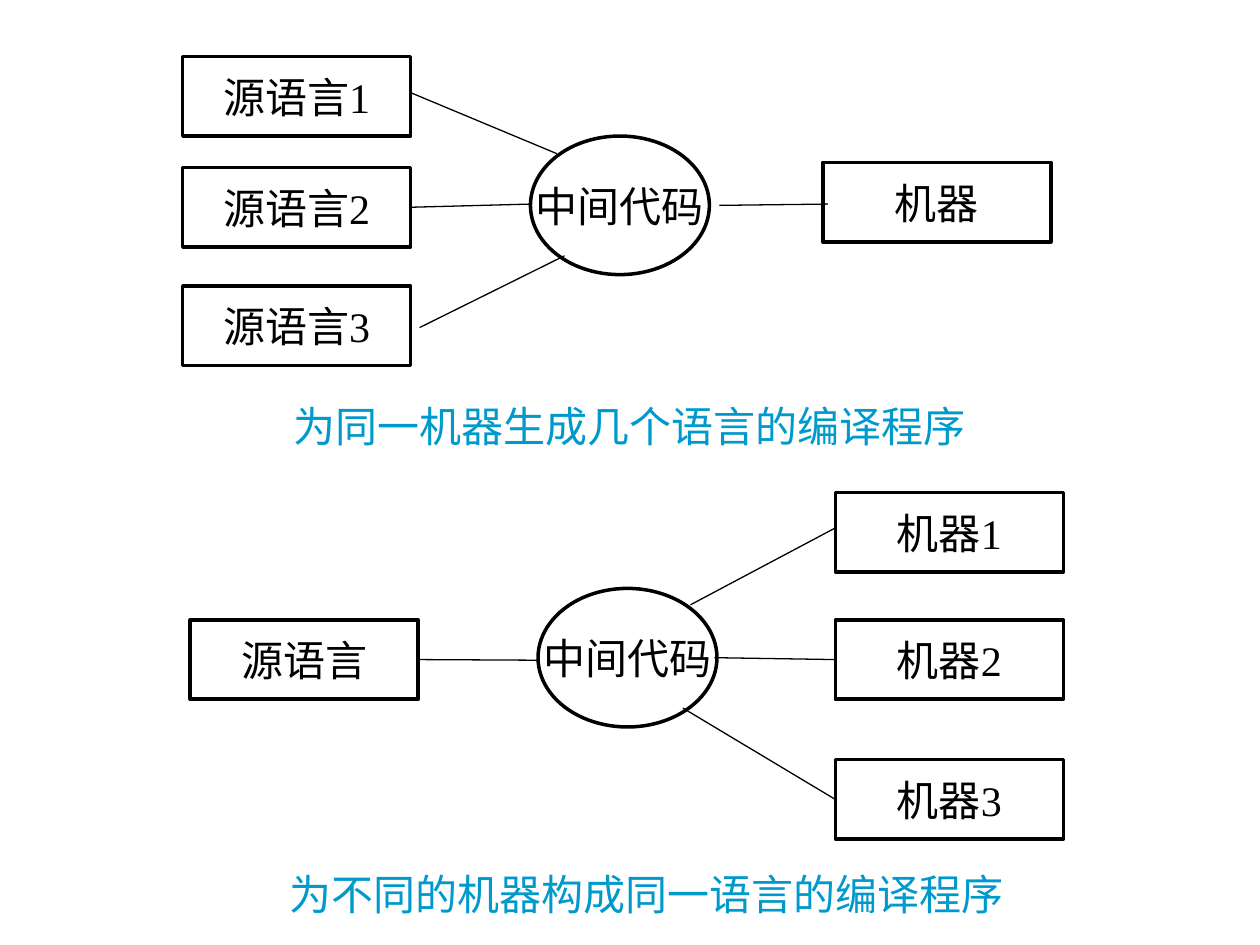
from lxml import etree
from pptx import Presentation
from pptx.dml.color import RGBColor
from pptx.enum import shapes, text
from pptx.oxml.ns import qn
from pptx.util import Inches, Pt

BLACK, WHITE, BLUE = "000000", "FFFFFF", "0099CC"
BOX_W, BOX_H = 1.81, 0.63
OVAL_W, OVAL_H = 1.42, 1.1
LEFT, RIGHT = 1, 3  # connection sites of a rectangle


def color(value):
    return RGBColor.from_string(value)


def style_text(tf, words, shade):
    p = tf.paragraphs[0]
    p.text = words
    p.font.name = "Times New Roman"
    p.font.size = Pt(24)
    p.font.color.rgb = color(shade)
    return p


def add_node(s, kind, words, x, y, w, h):
    sp = s.shapes.add_shape(kind, Inches(x), Inches(y), Inches(w), Inches(h))
    sp.shadow.inherit = False
    sp.fill.solid()
    sp.fill.fore_color.rgb = color(WHITE)
    sp.line.color.rgb = color(BLACK)
    sp.line.width = Pt(2)
    tf = sp.text_frame
    tf.word_wrap = False
    tf.vertical_anchor = text.MSO_ANCHOR.MIDDLE
    style_text(tf, words, BLACK).alignment = text.PP_ALIGN.CENTER
    return sp


def add_box(s, words, x, y):
    return add_node(s, shapes.MSO_SHAPE.RECTANGLE, words, x, y, BOX_W, BOX_H)


def add_oval(s, x, y):
    return add_node(s, shapes.MSO_SHAPE.OVAL, "中间代码", x, y, OVAL_W, OVAL_H)


def add_link(s, start, end):
    line = s.shapes.add_connector(shapes.MSO_CONNECTOR.STRAIGHT,
                                  *(Inches(v) for v in (*start, *end)))
    line.line.color.rgb = color(BLACK)
    line.line.width = Pt(0.75)
    etree.SubElement(line._element.spPr, qn("a:effectLst"))
    return line


def add_caption(s, words, x, y):
    tf = s.shapes.add_textbox(Inches(x), Inches(y), Inches(6.15), Inches(0.5)).text_frame
    tf.word_wrap = True
    style_text(tf, words, BLUE)


def many_languages(s, x, y):
    """Three source languages, one machine."""
    boxes = [add_box(s, f"源语言{n}", x, y + dy)
             for n, dy in enumerate((0, 0.88, 1.82), 1)]
    add_box(s, "机器", x + 5.08, y + 0.84)
    add_oval(s, x + 2.76, y + 0.63)
    # Links into and out of the intermediate code
    add_link(s, (x + 1.82, y + 0.29), (x + 2.97, y + 0.77))
    middle = add_link(s, (x + BOX_W, y + 1.19), (x + 2.76, y + 1.17))
    middle.begin_connect(boxes[1], RIGHT)
    add_link(s, (x + 1.88, y + 2.15), (x + 3.03, y + 1.58))
    add_link(s, (x + 4.26, y + 1.18), (x + 5.12, y + 1.17))
    add_caption(s, "为同一机器生成几个语言的编译程序", x + 0.78, y + 2.68)


def many_machines(s, x, y):
    """One source language, three machines."""
    source = add_box(s, "源语言", x, y + 1.01)
    boxes = [add_box(s, f"机器{n}", x + 5.12, y + dy)
             for n, dy in enumerate((0, 1.01, 2.12), 1)]
    add_oval(s, x + 2.76, y + 0.76)
    # Links into and out of the intermediate code
    add_link(s, (x + 1.82, y + 1.34), (x + 2.76, y + 1.33)).begin_connect(source, RIGHT)
    add_link(s, (x + 3.97, y + 0.89), (x + 5.12, y + 0.28))
    for start, box in (((4.16, 1.31), boxes[1]), ((3.91, 1.71), boxes[2])):
        begin = (x + start[0], y + start[1])
        add_link(s, begin, begin).end_connect(box, LEFT)
    add_caption(s, "为不同的机器构成同一语言的编译程序", x + 0.69, y + 2.93)


def main():
    prs = Presentation()
    prs.slide_width, prs.slide_height = Inches(10), Inches(7.5)
    s = prs.slides.add_slide(prs.slide_layouts[6])
    many_languages(s, 1.45, 0.45)
    many_machines(s, 1.51, 3.91)
    prs.save("out.pptx")


if __name__ == "__main__":
    main()
